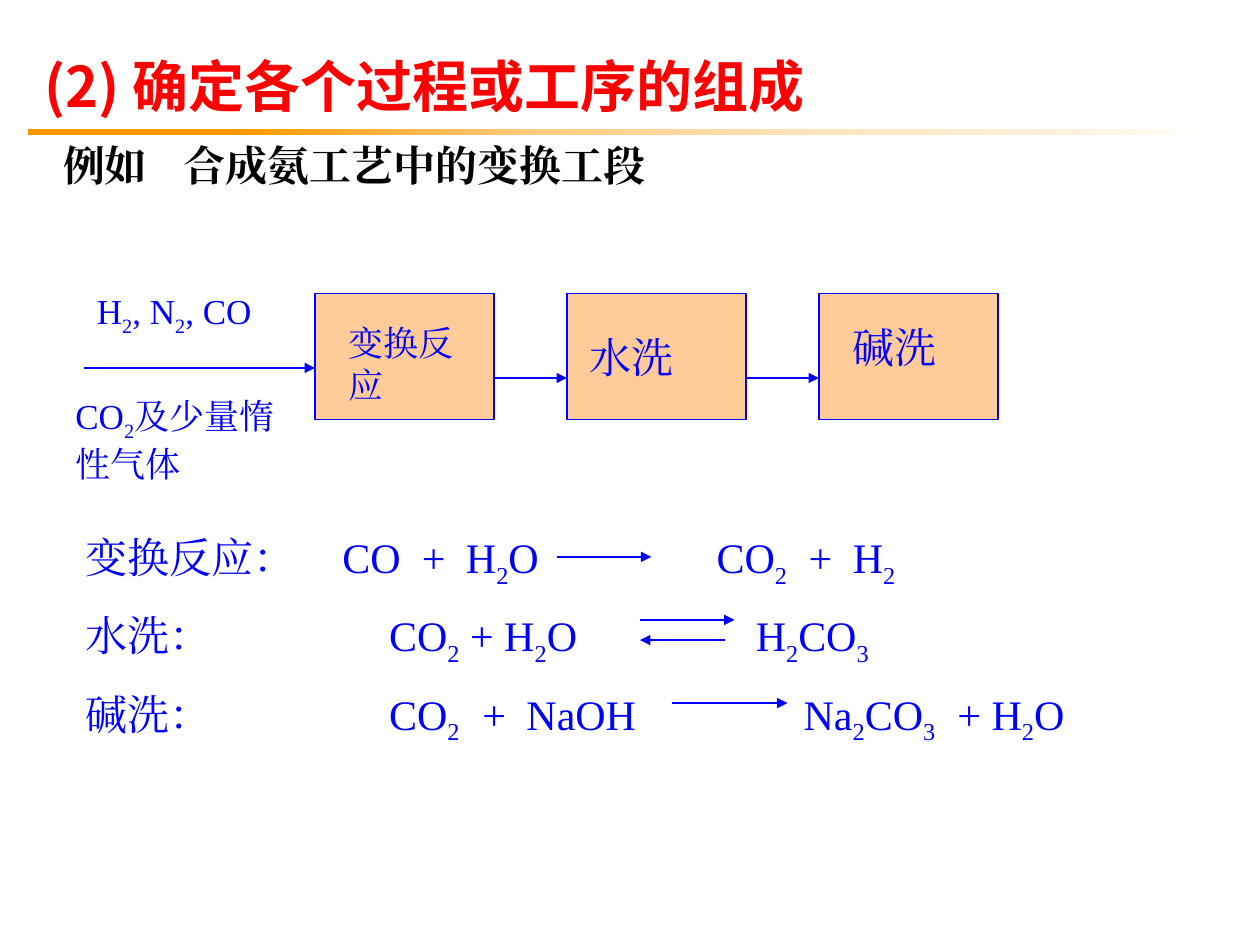
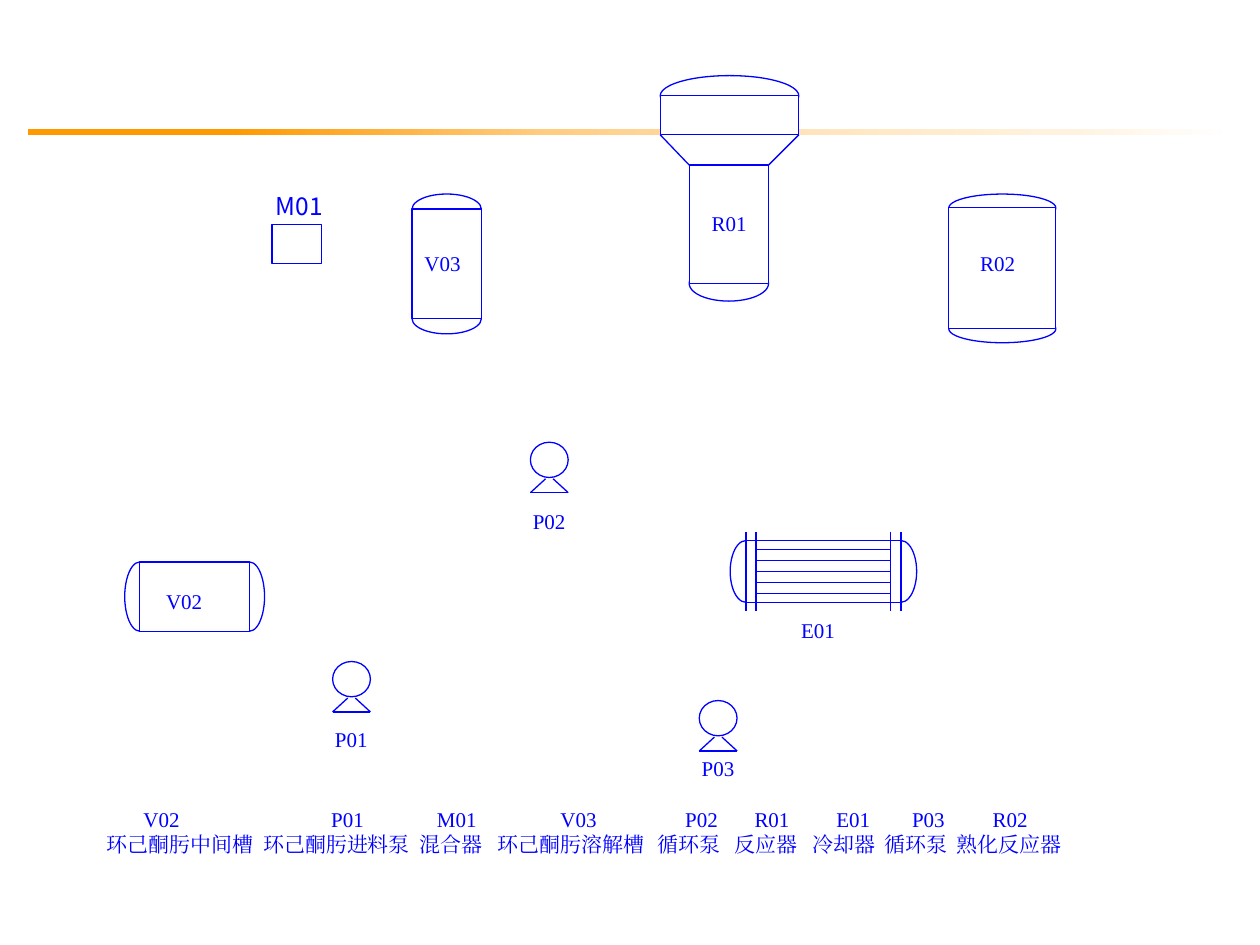
from lxml.etree import SubElement
from pptx import Presentation
from pptx.dml.color import RGBColor
from pptx.enum.shapes import MSO_CONNECTOR, MSO_SHAPE
from pptx.enum.text import MSO_ANCHOR
from pptx.oxml.ns import qn
from pptx.util import Inches, Pt

W, H = 10, 7.5
COLORS = dict(red="FF0000", black="000000", blue="0000FF", peach="FFCC99", white="FFFFFF")
SERIF, SANS_JP, SANS_SC = "Times New Roman", "Noto Sans CJK JP", "Noto Sans CJK SC"
BAND = (0.22, 1.02, 9.55, 0.05)
BAND_STOPS = [(17, "FF9900"), (43, "FFCC80"), (67, "FFE6C0"), (87, "FFF3E0"), (100, "FFFFFF")]

# Slide 1 content; "_" sets the next character as a subscript
TITLE = "(2) 确定各个过程或工序的组成"
EXAMPLE = [(0.15, "例如"), (1.11, "合成氨工艺中的变换工段")]
STEP_X, STEP_PITCH, STEP_Y, STEP_W, STEP_H = 2.5, 2, 2.33, 1.42, 1
STEP_LABELS = [  # text, box, size
    ("变换反应", (2.67, 2.5, 1.17, 0.77), 20),
    ("水洗", (4.58, 2.58, 1.25, 0.5), 24),
    ("碱洗", (6.67, 2.5, 1, 0.5), 24),
]
FEED_LABELS = [
    ("H_2, N_2, CO", (0.67, 2.25, 1.67, 0.43)),
    ("CO_2及少量惰性气体", (0.5, 3.08, 1.83, 0.77)),
]
REACTIONS = [  # name, then (tab stop, part)
    ("变换反应：", [(2.04, "CO"), (2.67, "+"), (3.02, "H_2O"),
                (5.01, "CO_2"), (5.74, "+"), (6.09, "H_2")]),
    ("水洗：", [(2.41, "CO_2 + H_2O"), (5.32, "H_2CO_3")]),
    ("碱洗：", [(2.41, "CO_2"), (3.15, "+"), (3.5, "NaOH"),
              (5.7, "Na_2CO_3"), (6.92, "+ H_2O")]),
]
REACTION_ARROWS = [  # from x, to x, y
    (4.42, 5.17, 4.42), (5.08, 5.83, 4.92), (5.75, 5.08, 5.08), (5.33, 6.25, 5.58),
]

# Slide 2 content
VESSELS = [  # body, cap thickness, capped ends
    ((1.11, 4.46, 0.87, 0.55), 0.24, "LR"),   # V02
    ((3.27, 1.66, 0.55, 0.87), 0.24, "TB"),   # V03
    ((7.53, 1.65, 0.85, 0.96), 0.22, "TB"),   # R02
    ((5.24, 0.76, 1.1, 0.31), 0.32, "T"),     # R01 head
    ((5.47, 1.31, 0.63, 0.94), 0.28, "B"),    # R01 column
    ((5.92, 4.29, 1.23, 0.49), 0.25, "LR"),   # E01
]
MIXER = (2.16, 1.78, 0.39, 0.31)
CONE = [(5.47, 1.31, 5.24, 1.07), (6.34, 1.07, 6.1, 1.31)]
FLANGES, FLANGE_Y = [5.92, 6, 7.07, 7.15], (4.22, 4.85)
TUBES, TUBE_Y, TUBE_PITCH = 5, 4.36, 0.0875
PUMPS = [(4.21, 3.51), (2.64, 5.25), (5.55, 5.56)]
TAGS = [
    ("V02", 1.22, 4.62), ("V03", 3.27, 1.94), ("P01", 2.56, 5.72), ("P02", 4.13, 3.99),
    ("P03", 5.47, 5.95), ("R01", 5.55, 1.62), ("R02", 7.68, 1.94), ("E01", 6.26, 4.85),
]
LEGEND = [  # tag stop, tag, name stop, name
    (0.29, "V02", 0, "环己酮肟中间槽"), (1.78, "P01", 1.24, "环己酮肟进料泵"),
    (2.62, "M01", 2.48, "混合器"), (3.6, "V03", 3.1, "环己酮肟溶解槽"),
    (4.59, "P02", 4.37, "循环泵"), (5.14, "R01", 4.98, "反应器"),
    (5.79, "E01", 5.6, "冷却器"), (6.39, "P03", 6.17, "循环泵"),
    (7.03, "R02", 6.74, "熟化反应器"),
]


def rgb(name):
    return RGBColor.from_string(COLORS[name])


def inches(values):
    return [Inches(v) for v in values]


def write(p, text, size=24, font=SERIF, color="blue", bold=False, before=0, stops=()):
    """Fill a paragraph with text, subscripts and tab stops."""
    p.space_before = Pt(before)
    if stops:
        tabs = SubElement(p._p.get_or_add_pPr(), qn("a:tabLst"))
        for stop in stops:
            SubElement(tabs, qn("a:tab"), pos=str(Inches(stop)), algn="l")
    first, *rest = text.split("_")
    pieces = [(first, False)]
    for part in rest:
        pieces += [(part[0], True), (part[1:], False)]
    for piece, subscript in pieces:
        if not piece:
            continue
        r = p.add_run()
        r.text = piece
        r.font.size, r.font.name, r.font.bold = Pt(size), font, bold
        r.font.color.rgb = rgb(color)
        rPr = r._r.get_or_add_rPr()
        SubElement(rPr, qn("a:ea"), typeface=font)
        if subscript:
            rPr.set("baseline", "-25000")


def text_box(s, at, text, **style):
    tf = s.shapes.add_textbox(*inches(at)).text_frame
    tf.word_wrap = True
    write(tf.paragraphs[0], text, **style)
    return tf


def shape(s, at, kind=MSO_SHAPE.RECTANGLE, fill="white"):
    sp = s.shapes.add_shape(kind, *inches(at))
    sp.shadow.inherit = False
    sp.fill.solid()
    sp.fill.fore_color.rgb = rgb(fill)
    sp.line.color.rgb = rgb("blue")
    sp.line.width = Pt(0.75)
    return sp


def line(s, x1, y1, x2, y2, arrow=False):
    c = s.shapes.add_connector(MSO_CONNECTOR.STRAIGHT, *inches((x1, y1, x2, y2)))
    c.line.color.rgb = rgb("blue")
    c.line.width = Pt(0.75)
    if arrow:
        SubElement(c.line._get_or_add_ln(), qn("a:tailEnd"), type="triangle")
    SubElement(c._element.spPr, qn("a:effectLst"))


def master_band(prs, s):
    """Draw the gradient rule and move it to the master."""
    sp = shape(s, BAND)
    sp.line.fill.background()
    sp.fill.gradient()
    sp.fill.gradient_angle = 0
    stops = sp._element.spPr.find(".//" + qn("a:gsLst"))
    for old in list(stops):
        stops.remove(old)
    for share, color in BAND_STOPS:
        gs = SubElement(stops, qn("a:gs"), pos=str(share * 1000))
        SubElement(gs, qn("a:srgbClr"), val=color)
    prs.slide_master.shapes.element.append(sp._element)


def vessel(s, body, cap, ends):
    x, y, w, h = body
    caps = {
        "L": (x - cap / 2, y, cap, h), "R": (x + w - cap / 2, y, cap, h),
        "T": (x, y - cap / 2, w, cap), "B": (x, y + h - cap / 2, w, cap),
    }
    for end in ends:
        shape(s, caps[end], MSO_SHAPE.OVAL)
    shape(s, body)


def pump(s, x, y):
    w, leg, base = 0.3, y + 0.29, y + 0.4
    shape(s, (x, y, w, 0.28), MSO_SHAPE.OVAL)
    line(s, x, base, x + w, base)
    line(s, x + 0.12, leg, x, base)
    line(s, x + 0.18, leg, x + w, base)


def process_slide(s):
    # Title and example
    title = s.shapes.title
    title.left, title.top, title.width, title.height = inches((0.25, 0.33, 9.5, 1.23))
    tf = title.text_frame
    tf.word_wrap, tf.vertical_anchor = True, MSO_ANCHOR.BOTTOM
    write(tf.paragraphs[0], TITLE, size=32, font=SANS_JP, color="red", bold=True)
    stops, parts = zip(*EXAMPLE)
    write(tf.add_paragraph(), "\t" + "\t".join(parts), color="black", bold=True,
          before=12, stops=stops)
    for p in tf.paragraphs:
        p.alignment = 1

    # Reactions
    tf = None
    for name, parts in REACTIONS:
        stops, words = zip(*parts)
        text = "\t".join((name,) + words)
        if tf is None:
            tf = text_box(s, (0.58, 4.17, 9, 2.3), text, stops=stops)
        else:
            write(tf.add_paragraph(), text, before=12, stops=stops)
    for x1, x2, y in REACTION_ARROWS:
        line(s, x1, y, x2, y, arrow=True)

    # Flow of process steps
    line(s, 0.67, 2.92, STEP_X, 2.92, arrow=True)
    for i, (label, at, size) in enumerate(STEP_LABELS):
        x = STEP_X + i * STEP_PITCH
        shape(s, (x, STEP_Y, STEP_W, STEP_H), fill="peach")
        if i:
            line(s, x - STEP_PITCH + STEP_W, 3, x, 3, arrow=True)
        text_box(s, at, label, size=size)
    for label, at in FEED_LABELS:
        text_box(s, at, label, size=20)


def equipment_slide(s):
    # Vessels, mixer and pumps
    for body, cap, ends in VESSELS:
        vessel(s, body, cap, ends)
    shape(s, MIXER)
    for ends in CONE:
        line(s, *ends)
    for x, y in PUMPS:
        pump(s, x, y)

    # Flanges and tubes of the cooler
    for x in FLANGES:
        line(s, x, FLANGE_Y[0], x, FLANGE_Y[1])
    for i in range(TUBES):
        y = TUBE_Y + i * TUBE_PITCH
        line(s, FLANGES[1], y, FLANGES[2], y)

    # Tags and legend
    text_box(s, (2.09, 1.47, 0.79, 0.33), "M01", size=14, font=SANS_SC)
    for tag, x, y in TAGS:
        text_box(s, (x, y, 0.71, 0.3), tag, size=12)
    tag_stops, tags, name_stops, names = zip(*LEGEND)
    tf = text_box(s, (0.75, 6.35, 8.1, 1.02), "\t" + "\t".join(tags), size=12, stops=tag_stops)
    write(tf.add_paragraph(), "\t".join(names), size=12, stops=name_stops[1:])


def main():
    prs = Presentation()
    prs.slide_width, prs.slide_height = Inches(W), Inches(H)
    process = prs.slides.add_slide(prs.slide_layouts[5])
    master_band(prs, process)
    process_slide(process)
    equipment_slide(prs.slides.add_slide(prs.slide_layouts[6]))
    prs.save("out.pptx")


if __name__ == "__main__":
    main()
